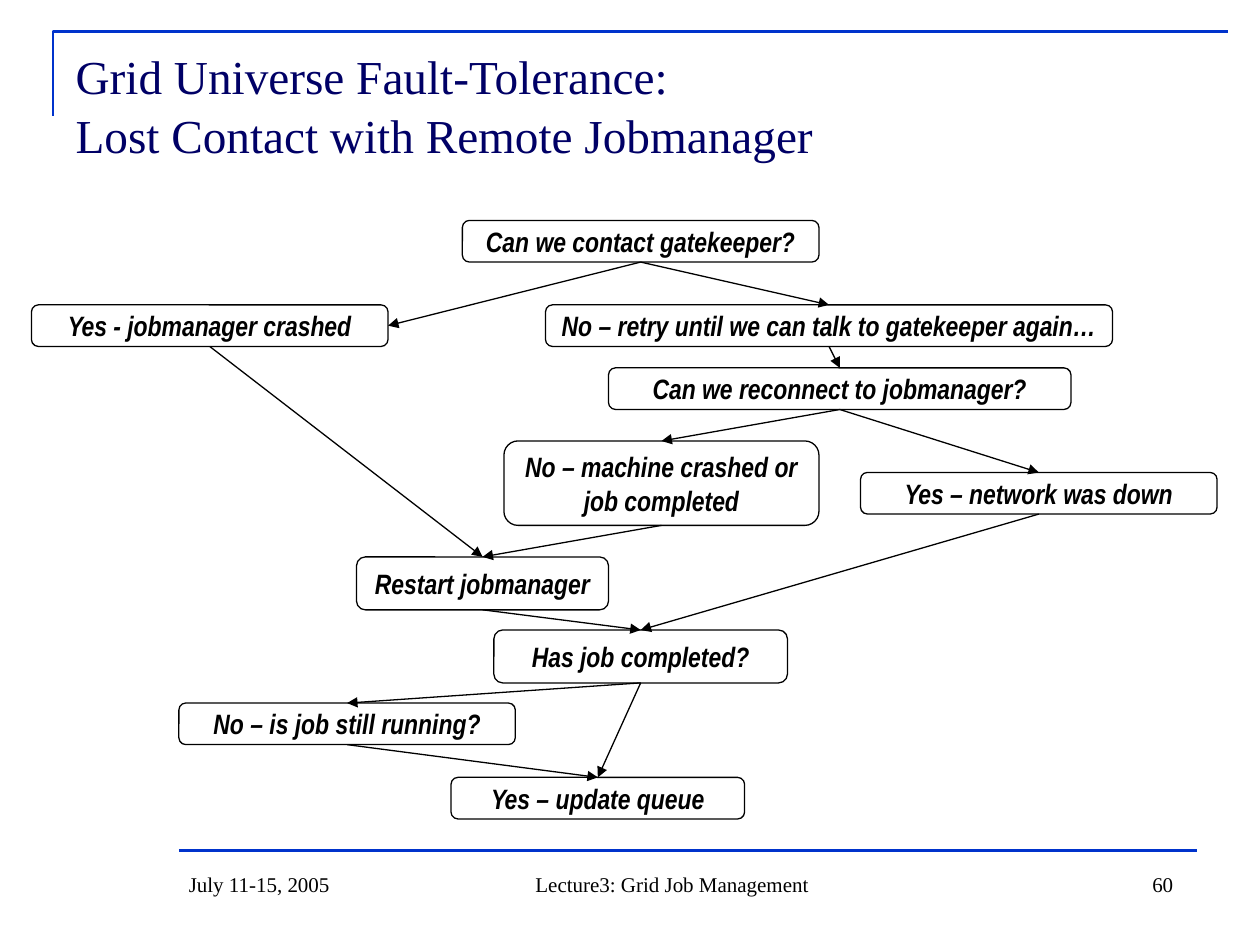
from typing import NamedTuple

from lxml.etree import SubElement
from pptx import Presentation
from pptx.dml.color import RGBColor
from pptx.enum.shapes import MSO_CONNECTOR as Link, MSO_SHAPE as Kind
from pptx.enum.text import MSO_ANCHOR as Anchor, MSO_AUTO_SIZE as Fit, PP_ALIGN as Align
from pptx.oxml.ns import qn
from pptx.util import Inches, Pt

BLACK, WHITE, BLUE, NAVY = "000000", "FFFFFF", "0033CC", "000066"
SERIF, NARROW = "Times New Roman", "Arial Narrow"
TOP, BOTTOM, RIGHT = 0, 2, 3  # connection sites of a box


class Step(NamedTuple):
    text: str
    left: float
    top: float
    width: float
    height: float = 0.33
    wrap: bool = False


class Arrow(NamedTuple):
    start: str
    end: str
    site: int = TOP


class Foot(NamedTuple):
    text: str
    left: float
    width: float
    align: Align


STEPS = {
    "contact": Step("Can we contact gatekeeper?", 3.67, 1.75, 2.83),
    "network": Step("Yes – network was down", 6.83, 3.75, 2.83),
    "machine": Step("No – machine crashed or job completed", 4, 3.5, 2.5, 0.67, True),
    "crashed": Step("Yes - jobmanager crashed", 0.25, 2.42, 2.83),
    "retry": Step("No – retry until we can talk to gatekeeper again…", 4.33, 2.42, 4.5),
    "reconnect": Step("Can we reconnect to jobmanager?", 4.83, 2.92, 3.67),
    "done": Step("Has job completed?", 3.92, 5, 2.33, 0.42),
    "running": Step("No – is job still running?", 1.42, 5.58, 2.67),
    "update": Step("Yes – update queue", 3.58, 6.17, 2.33),
    "restart": Step("Restart jobmanager", 2.83, 4.42, 2, 0.42),
}
ARROWS = [
    Arrow("contact", "crashed", RIGHT),
    Arrow("contact", "retry"),
    Arrow("retry", "reconnect"),
    Arrow("reconnect", "machine"),
    Arrow("reconnect", "network"),
    Arrow("machine", "restart"),
    Arrow("crashed", "restart"),
    Arrow("restart", "done"),
    Arrow("network", "done"),
    Arrow("done", "running"),
    Arrow("done", "update"),
    Arrow("running", "update"),
]
FEET = [
    Foot("July 11-15, 2005", 1.4, 2.27, Align.LEFT),
    Foot("Lecture3: Grid Job Management", 3.75, 3.17, Align.CENTER),
    Foot("60", 7.08, 2.33, Align.RIGHT),
]


def color(code: str) -> RGBColor:
    return RGBColor.from_string(code)


def style(para, name: str, size: float, code: str, align=Align.LEFT, strong=False) -> None:
    para.alignment = align
    font = para.font
    font.name, font.size = name, Pt(size)
    font.color.rgb = color(code)
    font.bold = font.italic = strong


def stroke(shape, code: str, width: float) -> None:
    shape.line.color.rgb = color(code)
    shape.line.width = Pt(width)


def add_line(slide, x1: float, y1: float, x2: float, y2: float, code: str, width: float):
    line = slide.shapes.add_connector(
        Link.STRAIGHT, Inches(x1), Inches(y1), Inches(x2), Inches(y2))
    stroke(line, code, width)
    SubElement(line._element.spPr, qn("a:effectLst"))
    return line


def add_step(slide, step: Step):
    box = slide.shapes.add_shape(
        Kind.FLOWCHART_ALTERNATE_PROCESS, Inches(step.left), Inches(step.top),
        Inches(step.width), Inches(step.height))
    box.shadow.inherit = False
    box.fill.solid()
    box.fill.fore_color.rgb = color(WHITE)
    stroke(box, BLACK, 0.75)
    frame = box.text_frame
    frame.word_wrap = step.wrap
    frame.vertical_anchor = Anchor.MIDDLE
    frame.text = step.text
    style(frame.paragraphs[0], NARROW, 16, BLACK, Align.CENTER, True)
    return box


def add_arrow(slide, boxes: dict, arrow: Arrow) -> None:
    line = add_line(slide, 0, 0, 1, 1, BLACK, 0.75)
    line.begin_connect(boxes[arrow.start], BOTTOM)
    line.end_connect(boxes[arrow.end], arrow.site)
    SubElement(line.line._get_or_add_ln(), qn("a:tailEnd"), type="triangle")


def add_foot(slide, foot: Foot) -> None:
    box = slide.shapes.add_textbox(
        Inches(foot.left), Inches(6.83), Inches(foot.width), Inches(0.34))
    frame = box.text_frame
    frame.word_wrap = True
    frame.vertical_anchor = Anchor.BOTTOM
    frame.text = foot.text
    style(frame.paragraphs[0], SERIF, 12, BLACK, foot.align)


def add_frame(slide) -> None:
    path = slide.shapes.build_freeform(Inches(0.42), Inches(0.92))
    path.add_line_segments(
        [(Inches(0.42), Inches(0.25)), (Inches(9.75), Inches(0.25))], close=False)
    corner = path.convert_to_shape()
    corner.shadow.inherit = False
    corner.fill.background()
    stroke(corner, BLUE, 1.5)
    add_line(slide, 1.42, 6.75, 9.5, 6.75, BLUE, 1.5)


def add_title(slide) -> None:
    title = slide.shapes.title
    title.left, title.top = Inches(0.5), Inches(0.3)
    title.width, title.height = Inches(8.58), Inches(0.95)
    frame = title.text_frame
    frame.auto_size = Fit.NONE
    frame.vertical_anchor = Anchor.TOP
    frame.text = "Grid Universe Fault-Tolerance:\vLost Contact with Remote Jobmanager"
    para = frame.paragraphs[0]
    para.line_spacing = 1.05
    style(para, SERIF, 27, NAVY)


def main() -> None:
    deck = Presentation()
    deck.slide_width, deck.slide_height = Inches(10), Inches(7.5)
    slide = deck.slides.add_slide(deck.slide_layouts[5])

    # Rules and title
    add_frame(slide)
    add_title(slide)

    # Flow chart
    boxes = {key: add_step(slide, step) for key, step in STEPS.items()}
    for arrow in ARROWS:
        add_arrow(slide, boxes, arrow)

    # Footer
    for foot in FEET:
        add_foot(slide, foot)

    deck.save("out.pptx")


if __name__ == "__main__":
    main()
